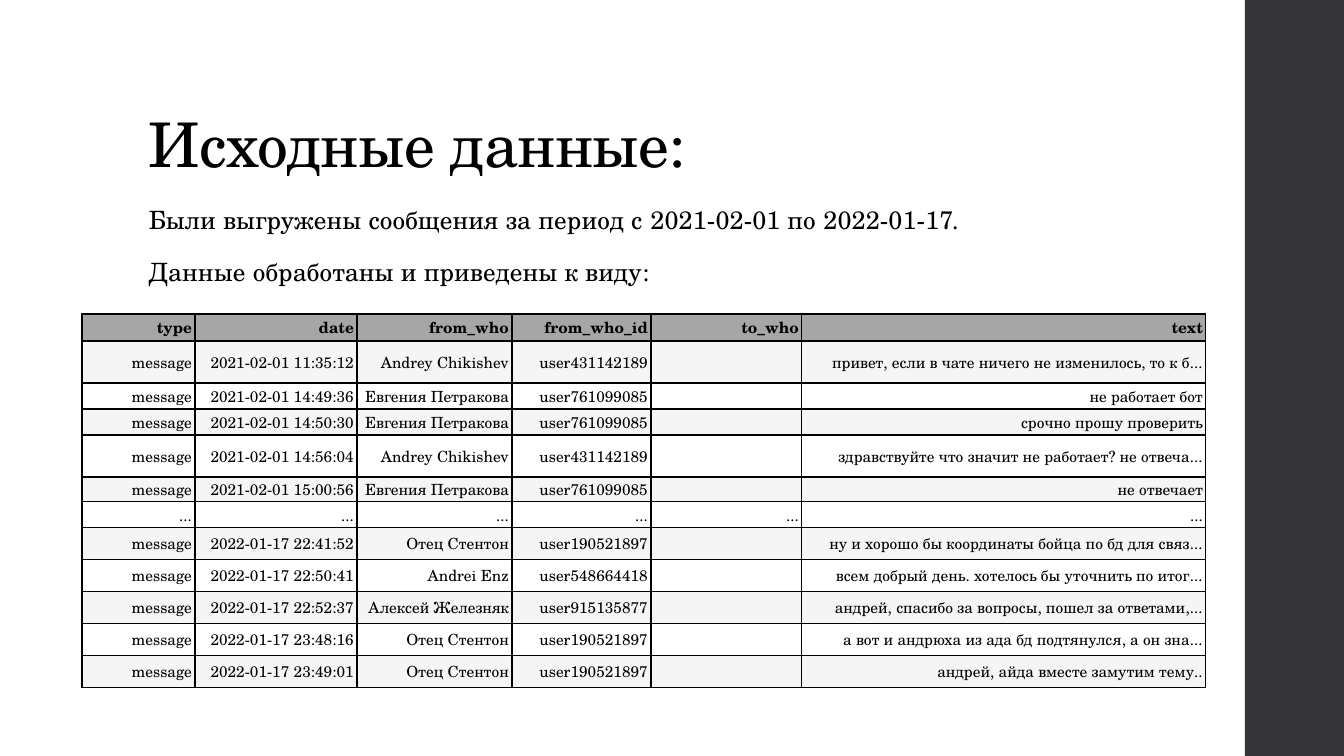
import pptx
import pptx.util
import pptx.dml.color
import pptx.enum.shapes
import pptx.enum.text
import pptx.oxml

SCALE = 914400 / 100.8
ALIGN = pptx.enum.text.PP_ALIGN
ANCHOR = pptx.enum.text.MSO_ANCHOR


def px(num):
    """Turn pixels into EMU."""
    return pptx.util.Emu(round(num * SCALE))


def color(code):
    """Turn a hex string into a colour."""
    return pptx.dml.color.RGBColor.from_string(code)


class Deck:
    """Holds the style and the current slide."""

    font = "TeX Gyre Schola"
    ink = "000000"
    side = "353537"
    head = "A6A6A6"
    bands = ("FFFFFF", "F5F5F5")

    def __init__(self, prs):
        """Add a blank slide."""
        self.slide = prs.slides.add_slide(prs.slide_layouts[6])

    def bar(self, *box):
        """Draw the plain side bar."""
        shape = self.slide.shapes.add_shape(
            pptx.enum.shapes.MSO_SHAPE.RECTANGLE, *map(px, box))
        shape.shadow.inherit = False
        shape.fill.solid()
        shape.fill.fore_color.rgb = color(self.side)
        shape.line.fill.background()

    def run(self, para, text, size, bold=False, track=0):
        """Add one run; track is in hundredths of a point."""
        run = para.add_run()
        run.text = text
        run.font.name = self.font
        run.font.size = pptx.util.Pt(size)
        run.font.bold = bold
        run.font.color.rgb = color(self.ink)
        if track:
            run.font._element.set("spc", str(track))

    def text(self, box, lines, size, track, lead, gaps=(0, 0), anchor=ANCHOR.TOP):
        """Add a text box with one paragraph per line."""
        frame = self.slide.shapes.add_textbox(*map(px, box)).text_frame
        frame.word_wrap = True
        frame.vertical_anchor = anchor
        for num, line in enumerate(lines):
            para = frame.add_paragraph() if num else frame.paragraphs[0]
            para.line_spacing = lead
            para.space_before, para.space_after = map(pptx.util.Pt, gaps)
            self.run(para, line, size, track=track)

    def edge(self, cell):
        """Rule all four sides of a cell, ahead of its fill."""
        props = cell._tc.get_or_add_tcPr()
        for num, name in enumerate(("lnL", "lnR", "lnT", "lnB")):
            props.insert(num, pptx.oxml.parse_xml(
                f'<a:{name} xmlns:a="http://schemas.openxmlformats.org/'
                'drawingml/2006/main" w="12700"><a:solidFill>'
                f'<a:srgbClr val="{self.ink}"/></a:solidFill></a:{name}>'))

    def cell(self, cell, text, fill, size, bold):
        """Fill, rule and label one cell."""
        cell.fill.solid()
        cell.fill.fore_color.rgb = color(fill)
        self.edge(cell)
        cell.margin_left = cell.margin_right = px(3)
        cell.margin_top = cell.margin_bottom = px(1)
        cell.vertical_anchor = ANCHOR.MIDDLE
        para = cell.text_frame.paragraphs[0]
        para.alignment = ALIGN.RIGHT
        if text:
            self.run(para, text, size, bold)
        else:
            para._p.get_or_add_endParaRPr().set("sz", str(size * 100))

    def table(self, left, top, cols, rows, data, size):
        """Add a banded table with a bold head row."""
        table = self.slide.shapes.add_table(
            len(rows), len(cols), px(left), px(top),
            px(sum(cols)), px(sum(rows))).table
        for col, width in zip(table.columns, cols):
            col.width = px(width)
        for row, high in zip(table.rows, rows):
            row.height = px(high)
        for r, line in enumerate(data):
            fill = self.bands[r % 2] if r else self.head
            for c, text in enumerate(line):
                self.cell(table.cell(r, c), text, fill, size, r == 0)


def note(date, name, user, text):
    """Make the table row of one message."""
    return ("message", date, name, "user" + user, "", text)


ANDREY = ("Andrey Chikishev", "431142189")
EUGENIA = ("Евгения Петракова", "761099085")
FATHER = ("Отец Стентон", "190521897")

DATA = [
    ("type", "date", "from_who", "from_who_id", "to_who", "text"),
    note("2021-02-01 11:35:12", *ANDREY,
         "привет, если в чате ничего не изменилось, то к б..."),
    note("2021-02-01 14:49:36", *EUGENIA, "не работает бот"),
    note("2021-02-01 14:50:30", *EUGENIA, "срочно прошу проверить"),
    note("2021-02-01 14:56:04", *ANDREY,
         "здравствуйте что значит не работает? не отвеча..."),
    note("2021-02-01 15:00:56", *EUGENIA, "не отвечает"),
    ("...",) * 6,
    note("2022-01-17 22:41:52", *FATHER,
         "ну и хорошо бы координаты бойца по бд для связ..."),
    note("2022-01-17 22:50:41", "Andrei Enz", "548664418",
         "всем добрый день. хотелось бы уточнить по итог..."),
    note("2022-01-17 22:52:37", "Алексей Железняк", "915135877",
         "андрей, спасибо за вопросы, пошел за ответами,..."),
    note("2022-01-17 23:48:16", *FATHER,
         "а вот и андрюха из ада бд подтянулся, а он зна..."),
    note("2022-01-17 23:49:01", *FATHER, "андрей, айда вместе замутим тему.."),
]
COLS = [113, 162, 155, 139, 151, 404]
ROWS = [27, 42, 26, 26, 42, 25, 26] + [32] * 5

prs = pptx.Presentation()
prs.slide_width, prs.slide_height = px(1344), px(756)
deck = Deck(prs)
deck.bar(1245, 0, 99, 756)
deck.text((139, 40, 1068, 146), ["Исходные данные:"], 44, -50, 0.9,
          anchor=ANCHOR.BOTTOM)
deck.text((139, 202, 948, 480),
          ["Были выгружены сообщения за период с 2021-02-01 по 2022-01-17.",
           "Данные обработаны и приведены к виду:"],
          18, 10, 0.95, gaps=(14, 2))
deck.table(82, 314, COLS, ROWS, DATA, 11)
prs.save("out.pptx")
